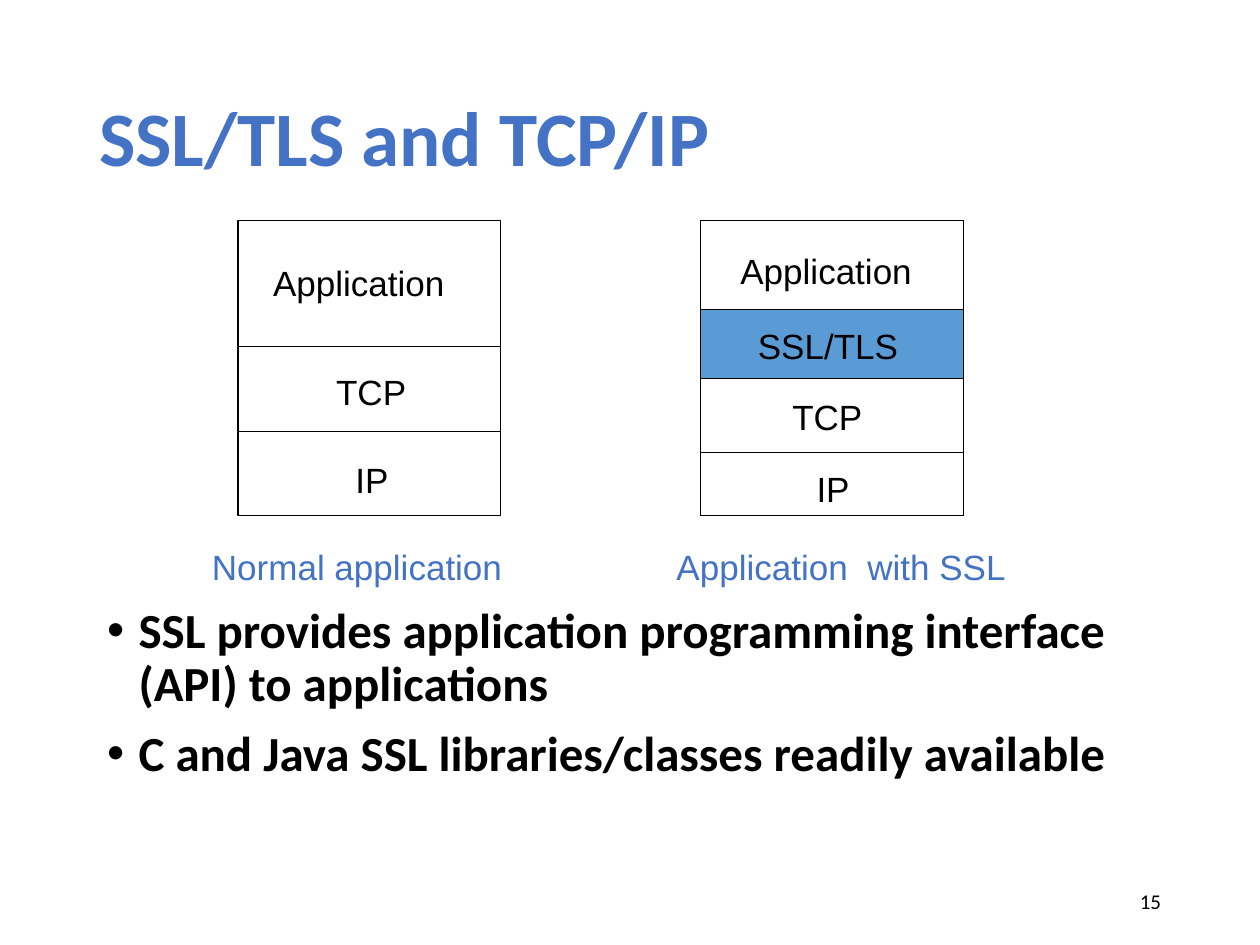
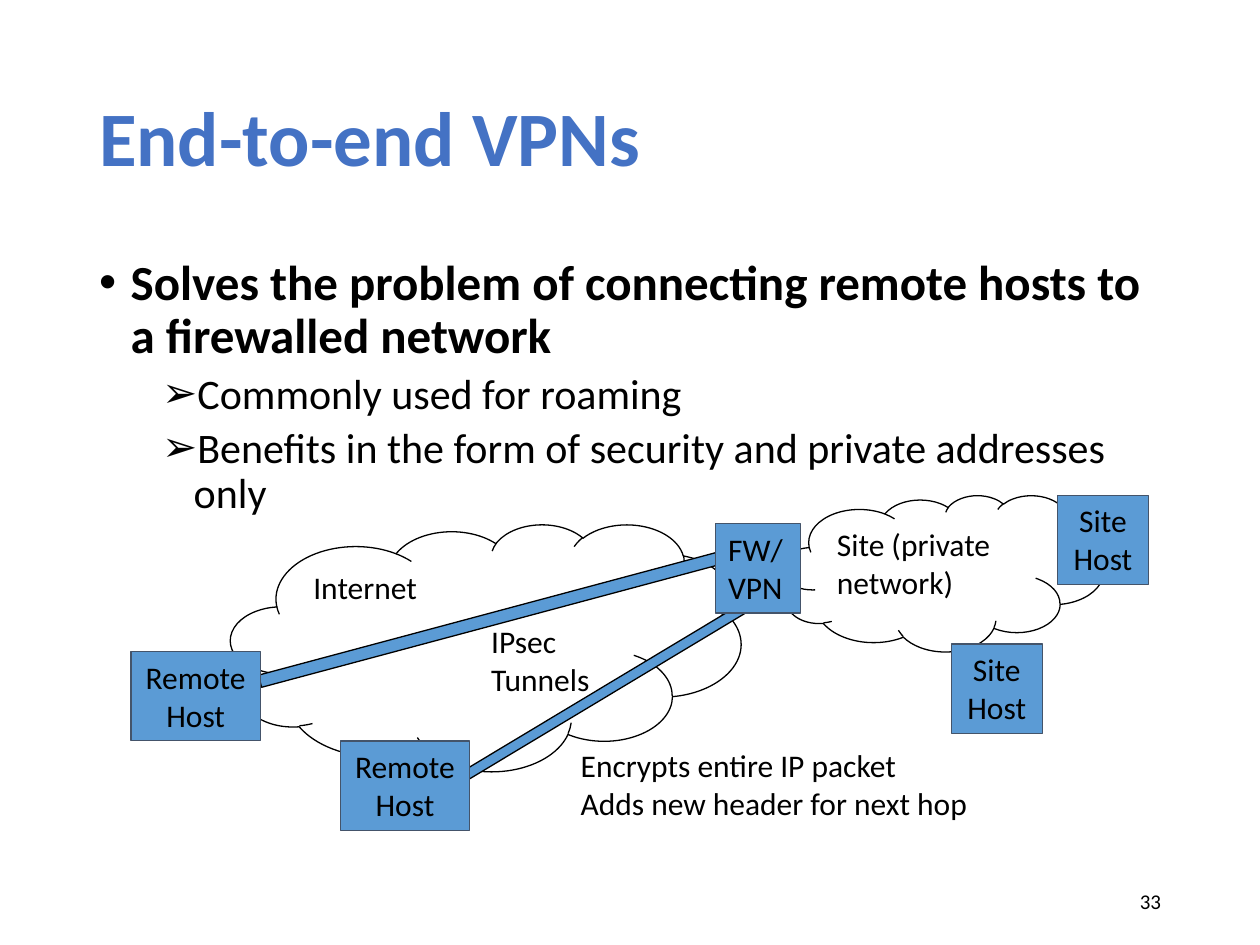
from dataclasses import dataclass

from lxml import etree
from pptx import Presentation
from pptx.dml.color import RGBColor
from pptx.enum import shapes, text
from pptx.oxml import ns
from pptx.util import Pt

BLACK, WHITE = "000000", "FFFFFF"
TITLE_BLUE, FILL_BLUE, SLATE = "4472C4", "5B9BD5", "44546A"
HEADING_FONT, LABEL_FONT = "Calibri", "Arial"
LABEL_HEIGHT = 31.7
BOX_HEIGHT = 51


@dataclass(frozen=True)
class Area:
    left: float
    top: float
    width: float
    height: float

    def lengths(self) -> tuple:
        return Pt(self.left), Pt(self.top), Pt(self.width), Pt(self.height)


@dataclass(frozen=True)
class ListLevel:
    bullet: str
    size: float
    bold: bool
    indent: float
    space_before: float


@dataclass(frozen=True)
class Layer:
    name: str
    height: float
    label_left: float
    label_top: float
    label_width: float
    fill: str | None = None


@dataclass(frozen=True)
class Stack:
    left: float
    layers: tuple[Layer, ...]
    caption: str
    caption_left: float
    caption_width: float


@dataclass(frozen=True)
class Cloud:
    label: str
    area: Area


@dataclass(frozen=True)
class Tunnel:
    area: Area
    rotation: float


@dataclass(frozen=True)
class Box:
    lines: tuple[str, str]
    left: float
    top: float
    width: float
    centred: bool = True
    fill: str = FILL_BLUE
    outline: str | None = SLATE


TITLE_AREA = Area(49.5, 28.75, 621, 104.5)
NUMBER_AREA = Area(508.5, 500.5, 162, 28.75)
LEVELS = (ListLevel("•", 28, True, 18, 10), ListLevel("➢", 24, False, 54, 5))

STACK_TOP, STACK_WIDTH, CAPTION_TOP = 126, 150.2, 308
STACKS = (
    Stack(136, (
        Layer("Application", 72.2, 149, 146, 114),
        Layer("TCP", 48.3, 185, 208, 55),
        Layer("IP", 48, 196, 258.5, 34),
    ), "Normal application", 114, 182),
    Stack(400.3, (
        Layer("Application", 51, 416, 139, 114),
        Layer("SSL/TLS", 39.5, 426, 182, 98, FILL_BLUE),
        Layer("TCP", 42, 445.7, 222.5, 55.5),
        Layer("IP", 36, 459.5, 263.5, 34),
    ), "Application  with SSL", 379.5, 207.5),
)

CLOUDS = (
    Cloud("Site (private network)", Area(445.7, 283, 185, 89.3)),
    Cloud("Internet", Area(131.8, 299.5, 291.6, 141.1)),
)
TUNNEL_LABEL = Box(("IPsec", "Tunnels"), 273.6, 352, 72.7, False, WHITE, None)
TUNNELS = (
    Tunnel(Area(252.7, 392.4, 185.8, 5.8), 329),
    Tunnel(Area(144, 350.6, 271.4, 7.2), 345),
)
SITE_HOST, REMOTE_HOST = ("Site", "Host"), ("Remote", "Host")
SITE_BOXES = (
    Box(SITE_HOST, 543.6, 368, 52),
    Box(SITE_HOST, 604.3, 283, 52),
)
TUNNEL_ENDS = (
    Box(REMOTE_HOST, 74.8, 372.3, 74),
    Box(REMOTE_HOST, 194.4, 423.4, 74),
    Box(("FW/", "VPN"), 409, 299.3, 48.3, False),
)


def colour(value: str) -> RGBColor:
    return RGBColor.from_string(value)


def style(paragraph, size: float, font: str = HEADING_FONT,
          ink: str = BLACK, bold: bool = False) -> None:
    paragraph.font.size = Pt(size)
    paragraph.font.name = font
    paragraph.font.bold = bold
    paragraph.font.color.rgb = colour(ink)


def write(shape, lines: tuple[str, ...], size: float, font: str = HEADING_FONT,
          ink: str = BLACK, align=text.PP_ALIGN.LEFT, wrap: bool = False,
          anchor=text.MSO_ANCHOR.TOP) -> None:
    frame = shape.text_frame
    frame.word_wrap = wrap
    frame.vertical_anchor = anchor
    frame.text = "\n".join(lines)
    for paragraph in frame.paragraphs:
        paragraph.alignment = align
        style(paragraph, size, font, ink)


def place(shape, area: Area) -> None:
    shape.left, shape.top, shape.width, shape.height = area.lengths()


def add_bullet(paragraph, level: ListLevel) -> None:
    properties = paragraph._p.get_or_add_pPr()
    properties.set("marL", str(Pt(level.indent)))
    properties.set("indent", str(Pt(-18)))
    etree.SubElement(properties, ns.qn("a:buFont")).set("typeface", "Arial")
    etree.SubElement(properties, ns.qn("a:buChar")).set("char", level.bullet)


def add_slide(presentation, title: str, number: int, body_area: Area,
              items: tuple[tuple[int, str], ...]):
    slide = presentation.slides.add_slide(presentation.slide_layouts[1])

    # Title
    heading = slide.shapes.title
    place(heading, TITLE_AREA)
    heading.text_frame.text = title
    heading.text_frame.auto_size = text.MSO_AUTO_SIZE.NONE
    heading.text_frame.vertical_anchor = text.MSO_ANCHOR.MIDDLE
    paragraph = heading.text_frame.paragraphs[0]
    paragraph.alignment = text.PP_ALIGN.LEFT
    paragraph.line_spacing = 0.9
    style(paragraph, 44, ink=TITLE_BLUE, bold=True)

    # Bulleted list
    body = slide.placeholders[1]
    place(body, body_area)
    frame = body.text_frame
    frame.text = "\n".join(line for _, line in items)
    frame.auto_size = text.MSO_AUTO_SIZE.NONE
    for paragraph, (depth, _) in zip(frame.paragraphs, items):
        level = LEVELS[depth]
        paragraph.level = depth
        add_bullet(paragraph, level)
        paragraph.line_spacing = 0.9
        paragraph.space_before = Pt(level.space_before)
        style(paragraph, level.size, bold=level.bold)

    # Slide number
    footer = slide.shapes.add_textbox(*NUMBER_AREA.lengths())
    write(footer, (str(number),), 12, align=text.PP_ALIGN.RIGHT, wrap=True,
          anchor=text.MSO_ANCHOR.MIDDLE)
    return slide


def add_figure(slide, kind, area: Area, fill: str | None = None,
               outline: str | None = BLACK):
    shape = slide.shapes.add_shape(kind, *area.lengths())
    shape.shadow.inherit = False
    if fill:
        shape.fill.solid()
        shape.fill.fore_color.rgb = colour(fill)
    else:
        shape.fill.background()
    if outline:
        shape.line.color.rgb = colour(outline)
        shape.line.width = Pt(0.75)
    else:
        shape.line.fill.background()
    return shape


def add_label(slide, words: str, left: float, top: float, width: float,
              ink: str = BLACK) -> None:
    label = slide.shapes.add_textbox(*Area(left, top, width, LABEL_HEIGHT).lengths())
    write(label, (words,), 20, LABEL_FONT, ink)


def add_stack(slide, stack: Stack) -> None:
    top = STACK_TOP
    for layer in stack.layers:
        add_figure(slide, shapes.MSO_SHAPE.RECTANGLE,
                   Area(stack.left, top, STACK_WIDTH, layer.height), layer.fill)
        add_label(slide, layer.name, layer.label_left, layer.label_top,
                  layer.label_width)
        top += layer.height
    add_label(slide, stack.caption, stack.caption_left, CAPTION_TOP,
              stack.caption_width, TITLE_BLUE)


def add_box(slide, box: Box) -> None:
    shape = add_figure(slide, shapes.MSO_SHAPE.RECTANGLE,
                       Area(box.left, box.top, box.width, BOX_HEIGHT),
                       box.fill, box.outline)
    align = text.PP_ALIGN.CENTER if box.centred else text.PP_ALIGN.LEFT
    write(shape, box.lines, 18, align=align)


def build_protocol_slide(presentation) -> None:
    slide = add_slide(presentation, "SSL/TLS and TCP/IP", 15,
                      Area(54, 342.7, 624.2, 131), (
        (0, "SSL provides application programming interface (API) to applications"),
        (0, "C and Java SSL libraries/classes readily available"),
    ))
    for stack in STACKS:
        add_stack(slide, stack)


def build_vpn_slide(presentation) -> None:
    slide = add_slide(presentation, "End-to-end VPNs", 33,
                      Area(49.5, 144, 621, 342.7), (
        (0, "Solves the problem of connecting remote hosts to a firewalled network"),
        (1, "Commonly used for roaming"),
        (1, "Benefits in the form of security and private addresses only"),
    ))
    # Networks
    for cloud in CLOUDS:
        shape = add_figure(slide, shapes.MSO_SHAPE.CLOUD, cloud.area)
        write(shape, (cloud.label,), 18, wrap=True)
    for box in (*SITE_BOXES, TUNNEL_LABEL):
        add_box(slide, box)

    # Tunnels run beneath the machines they join
    for tunnel in TUNNELS:
        shape = add_figure(slide, shapes.MSO_SHAPE.RECTANGLE, tunnel.area, FILL_BLUE)
        shape.rotation = tunnel.rotation
    for box in TUNNEL_ENDS:
        add_box(slide, box)

    remark = slide.shapes.add_textbox(*Area(324.7, 422.8, 239, BOX_HEIGHT).lengths())
    write(remark, ("Encrypts entire IP packet", "Adds new header for next hop"), 18,
          wrap=True)


def main() -> None:
    presentation = Presentation()
    presentation.slide_width, presentation.slide_height = Pt(720), Pt(540)
    build_protocol_slide(presentation)
    build_vpn_slide(presentation)
    presentation.save("out.pptx")


if __name__ == "__main__":
    main()
